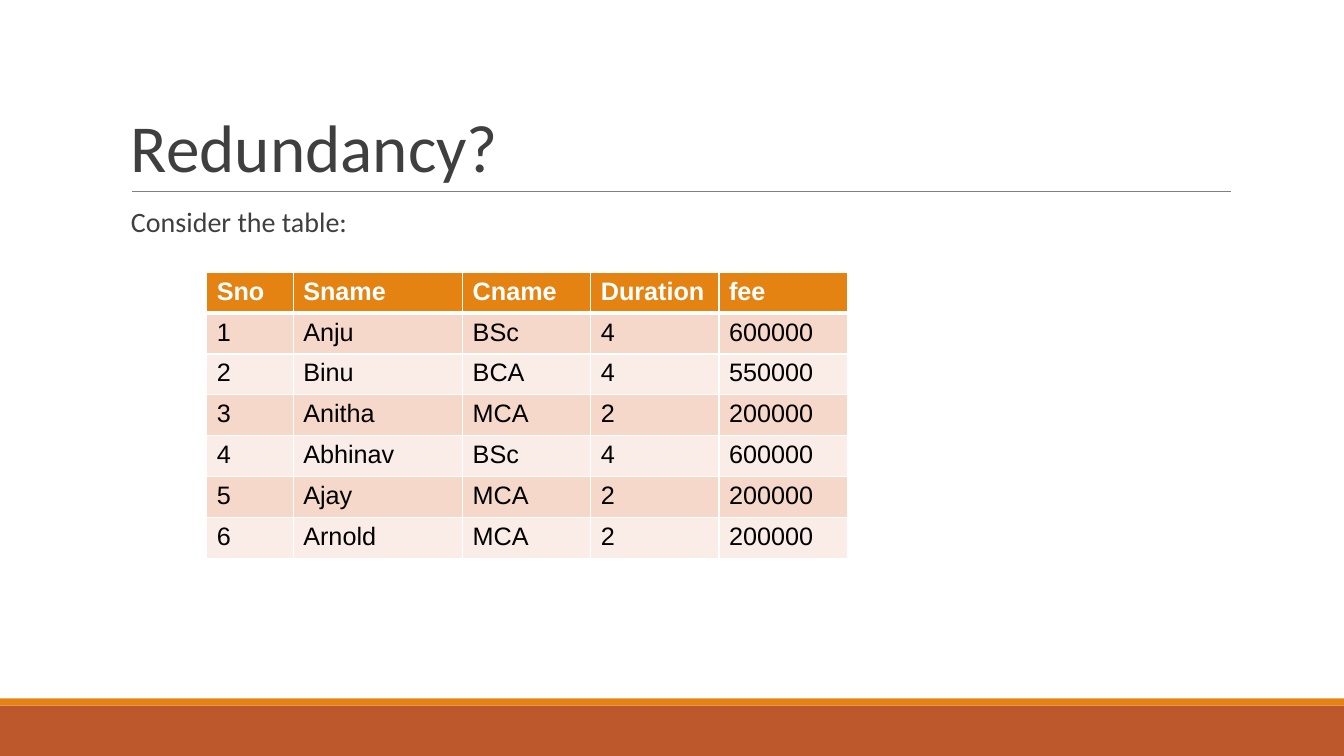
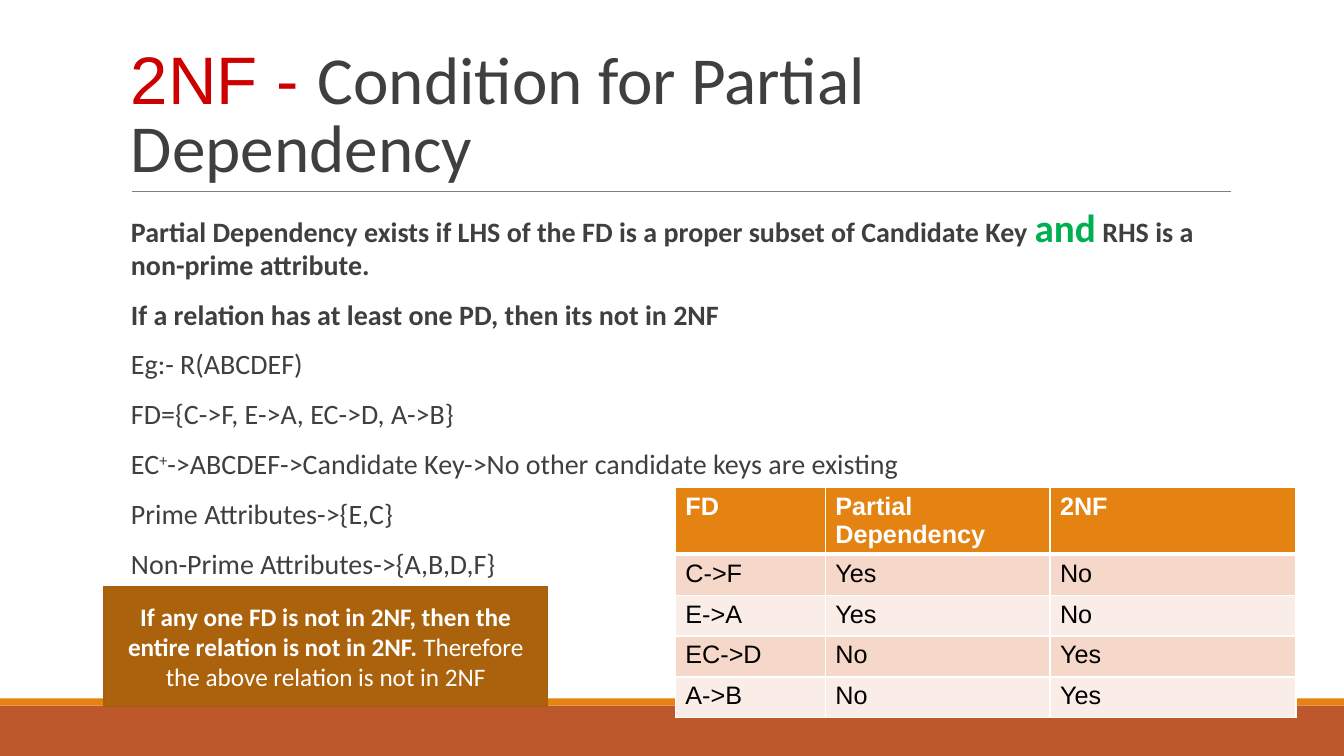
from dataclasses import dataclass
from typing import Optional

from lxml import etree
from pptx import Presentation
from pptx import util as u
from pptx.dml.color import RGBColor
from pptx.enum import shapes, text
from pptx.oxml import ns

ORANGE = RGBColor(0xE4, 0x83, 0x12)
RUST = RGBColor(0xBD, 0x58, 0x2C)
BROWN = RGBColor(0xAB, 0x62, 0x0D)
BROWN_EDGE = RGBColor(0xA6, 0x5F, 0x0D)
GREY = RGBColor(0x7F, 0x7F, 0x7F)
DARK = RGBColor(0x3F, 0x3F, 0x3F)
RED = RGBColor(0xCC, 0x00, 0x00)
GREEN = RGBColor(0x00, 0xB0, 0x50)
WHITE = RGBColor(0xFF, 0xFF, 0xFF)
BLACK = RGBColor(0x00, 0x00, 0x00)
ROW_FILLS = (RGBColor(0xF5, 0xD8, 0xCA), RGBColor(0xFA, 0xEC, 0xE6))

WIDTH, HEIGHT = 33.87, 19.05
ROW_HEIGHT = 1.03


@dataclass
class Run:
    text: str
    bold: bool = False
    size: Optional[float] = None
    color: Optional[RGBColor] = None
    font: str = "Calibri"
    superscript: bool = False


@dataclass
class Box:
    left: float
    top: float
    width: float
    height: float

    def lengths(self):
        return [u.Cm(v) for v in (self.left, self.top, self.width, self.height)]


@dataclass
class Grid:
    left: float
    top: float
    widths: list[float]
    rows: list[list[str]]


TITLE = Box(3.05, 0.79, 27.94, 4.04)
BODY = Box(3.05, 5.13, 27.94, 11.18)
BAND = Box(0, 17.78, WIDTH, 1.27)
STRIPE = Box(0, 17.6, WIDTH, 0.18)
CALLOUT = Box(2.62, 14.78, 11.18, 3.02)


def add_runs(p, runs: list[Run], size: float, color: RGBColor) -> None:
    for run in runs:
        r = p.add_run()
        r.text = run.text
        r.font.name = run.font
        r.font.size = u.Pt(run.size or size)
        r.font.bold = run.bold
        r.font.color.rgb = run.color or color
        if run.superscript:
            r._r.get_or_add_rPr().set("baseline", "30000")


def place(sp, box: Box, anchor, side: float):
    sp.left, sp.top, sp.width, sp.height = box.lengths()
    tf = sp.text_frame
    tf.word_wrap = True
    tf.auto_size = text.MSO_AUTO_SIZE.NONE
    tf.vertical_anchor = anchor
    tf.margin_left = tf.margin_right = u.Cm(side)
    tf.margin_top = tf.margin_bottom = u.Cm(0.13)
    return tf


def add_rect(s, box: Box, fill: RGBColor):
    sp = s.shapes.add_shape(shapes.MSO_SHAPE.RECTANGLE, *box.lengths())
    sp.shadow.inherit = False
    sp.fill.solid()
    sp.fill.fore_color.rgb = fill
    sp.line.fill.background()
    return sp


def set_bullet(p) -> None:
    pPr = p._p.get_or_add_pPr()
    pPr.set("marL", str(u.Cm(0.25)))
    pPr.set("indent", str(u.Cm(-0.36)))
    clr = etree.SubElement(pPr, ns.qn("a:buClr"))
    etree.SubElement(clr, ns.qn("a:srgbClr"), val=str(ORANGE))
    etree.SubElement(pPr, ns.qn("a:buChar"), char=" ")


def add_slide(prs, title: list[Run], body: list[list[Run]]):
    s = prs.slides.add_slide(prs.slide_layouts[1])
    add_rect(s, BAND, RUST)
    add_rect(s, STRIPE, ORANGE)
    rule = s.shapes.add_connector(
        shapes.MSO_CONNECTOR.STRAIGHT,
        u.Cm(3.33), u.Cm(4.83), u.Cm(31.01), u.Cm(4.83))
    rule.line.color.rgb = GREY
    rule.line.width = u.Pt(0.75)
    etree.SubElement(rule._element.spPr, ns.qn("a:effectLst"))

    tf = place(s.shapes.title, TITLE, text.MSO_ANCHOR.BOTTOM, 0.25)
    p = tf.paragraphs[0]
    p.alignment = text.PP_ALIGN.LEFT
    p.line_spacing = 0.85
    add_runs(p, title, 48, DARK)

    tf = place(s.placeholders[1], BODY, text.MSO_ANCHOR.TOP, 0)
    for i, runs in enumerate(body):
        p = tf.add_paragraph() if i else tf.paragraphs[0]
        set_bullet(p)
        p.line_spacing = 0.9
        p.space_before = u.Pt(14 if i else 0)
        add_runs(p, runs, 20, DARK)
    return s


def set_borders(cell, top: float, bottom: float) -> None:
    tcPr = cell._tc.get_or_add_tcPr()
    for tag, width in (("lnL", 1), ("lnR", 1), ("lnT", top), ("lnB", bottom)):
        ln = etree.SubElement(tcPr, ns.qn(f"a:{tag}"), w=str(u.Pt(width)))
        fill = etree.SubElement(ln, ns.qn("a:solidFill"))
        etree.SubElement(fill, ns.qn("a:srgbClr"), val=str(WHITE))


def add_grid(s, grid: Grid) -> None:
    box = Box(grid.left, grid.top, sum(grid.widths), ROW_HEIGHT * len(grid.rows))
    table = s.shapes.add_table(
        len(grid.rows), len(grid.widths), *box.lengths()).table
    for column, width in zip(table.columns, grid.widths):
        column.width = u.Cm(width)
    for i, row in enumerate(grid.rows):
        table.rows[i].height = u.Cm(ROW_HEIGHT)
        header = i == 0
        for j, value in enumerate(row):
            cell = table.cell(i, j)
            set_borders(cell, 3 if i == 1 else 1, 3 if header else 1)
            cell.fill.solid()
            cell.fill.fore_color.rgb = ORANGE if header else ROW_FILLS[(i - 1) % 2]
            add_runs(cell.text_frame.paragraphs[0],
                     [Run(value, bold=header, font="Arial")],
                     18, WHITE if header else BLACK)


def add_callout(s, runs: list[Run]) -> None:
    sp = add_rect(s, CALLOUT, BROWN)
    sp.line.color.rgb = BROWN_EDGE
    sp.line.width = u.Pt(1.25)
    tf = place(sp, CALLOUT, text.MSO_ANCHOR.MIDDLE, 0.25)
    p = tf.paragraphs[0]
    p.alignment = text.PP_ALIGN.CENTER
    add_runs(p, runs, 18, WHITE)


STUDENTS = Grid(5.21, 6.86, [2.18, 4.27, 3.23, 3.23, 3.23], [
    ["Sno", "Sname", "Cname", "Duration", "fee"],
    ["1", "Anju", "BSc", "4", "600000"],
    ["2", "Binu", "BCA", "4", "550000"],
    ["3", "Anitha", "MCA", "2", "200000"],
    ["4", "Abhinav", "BSc", "4", "600000"],
    ["5", "Ajay", "MCA", "2", "200000"],
    ["6", "Arnold", "MCA", "2", "200000"],
])

DEPENDENCIES = Grid(17.02, 12.29, [3.78, 5.66, 6.2], [
    ["FD", "Partial Dependency", "2NF"],
    ["C->F", "Yes", "No"],
    ["E->A", "Yes", "No"],
    ["EC->D", "No", "Yes"],
    ["A->B", "No", "Yes"],
])

CONDITION = [
    [Run("Partial Dependency exists if LHS of the FD is a proper subset of "
         "Candidate Key ", bold=True),
     Run("and", bold=True, size=28, color=GREEN),
     Run(" RHS is a non-prime attribute.", bold=True)],
    [Run("If a relation has at least one PD, then its not in 2NF", bold=True)],
    [Run("Eg:- R(ABCDEF)")],
    [Run("FD={C->F, E->A, EC->D, A->B}")],
    [Run("EC"), Run("+", superscript=True),
     Run("->ABCDEF->Candidate Key->No other candidate keys are existing")],
    [Run("Prime Attributes->{E,C}")],
    [Run("Non-Prime Attributes->{A,B,D,F}")],
]


def main() -> None:
    prs = Presentation()
    prs.slide_width, prs.slide_height = u.Cm(WIDTH), u.Cm(HEIGHT)

    s = add_slide(prs, [Run("Redundancy?")], [[Run("Consider the table:")]])
    add_grid(s, STUDENTS)

    s = add_slide(prs, [Run("2NF - ", color=RED, font="Arial"),
                        Run("Condition for Partial Dependency")], CONDITION)
    add_grid(s, DEPENDENCIES)
    add_callout(s, [
        Run("If any one FD is not in 2NF, then the entire relation is not in 2NF. ",
            bold=True),
        Run("Therefore the above relation is not in 2NF")])

    prs.save("out.pptx")


if __name__ == "__main__":
    main()
